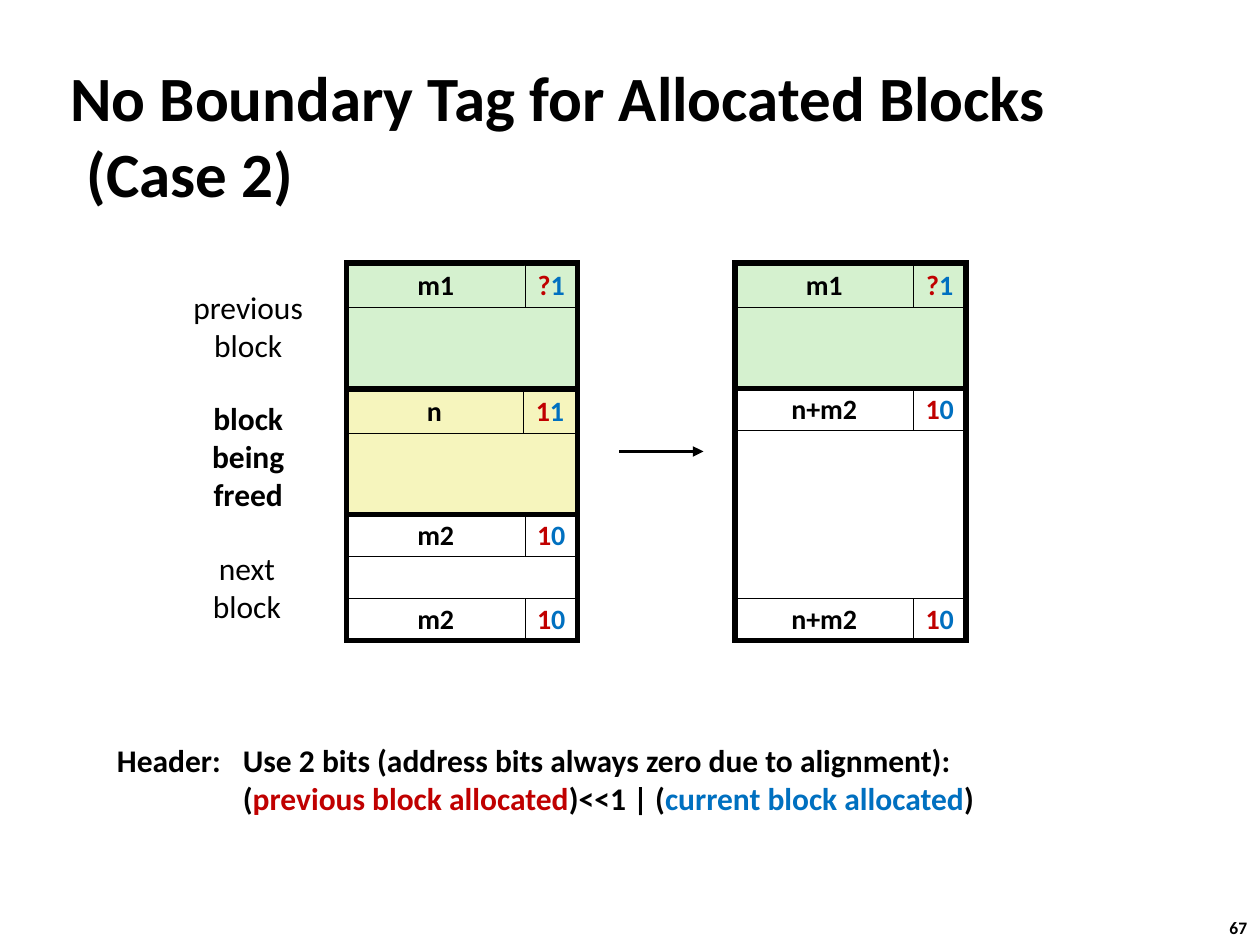
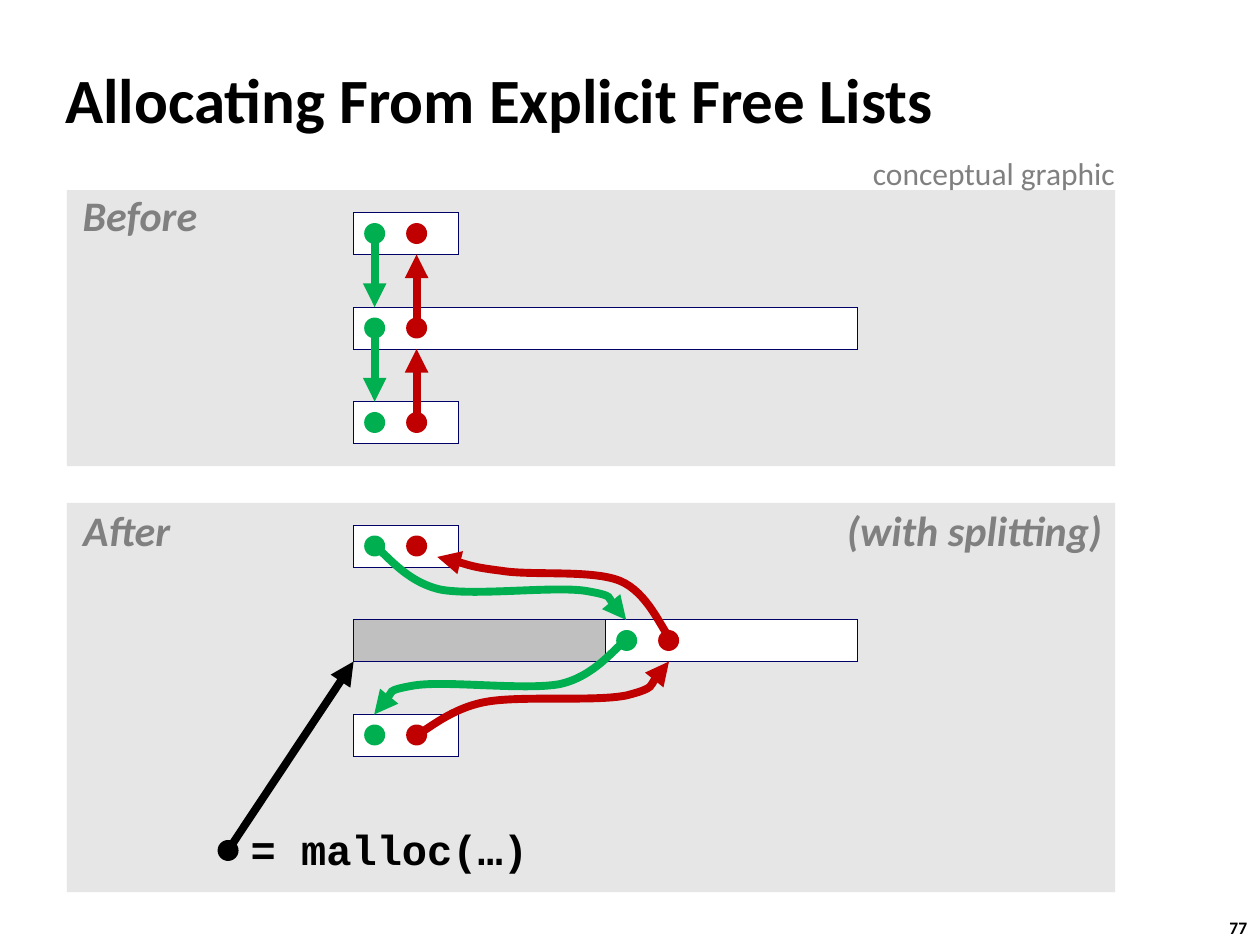
"""Build two slides on heap block headers and explicit free lists."""
import pptx
import pptx.dml.color
import pptx.enum.shapes
import pptx.enum.text
import pptx.oxml.ns
import pptx.util
from lxml import etree

SHAPE = pptx.enum.shapes.MSO_SHAPE
ALIGN = pptx.enum.text.PP_ALIGN
ANCHOR = pptx.enum.text.MSO_ANCHOR

THEME = {
    "ink": "000000", "paper": "FFFFFF", "panel": "E6E6E6", "muted": "808080",
    "allocated": "D5F1CF", "freed": "F6F5BD", "used": "C0C0C0", "edge": "000066",
    "previous": "C00000", "current": "0070C0", "next": "00B050",
    "hairline": 0.25, "outline": 3, "arrow": 2, "link": 4.5,
    "title": {"size": 36, "bold": True},
    "body": {"size": 18},
    "strong": {"size": 18, "bold": True},
    "cell": {"size": 16, "bold": True},
    "caption": {"size": 24, "bold": True, "italic": True},
    "code": {"size": 24, "bold": True, "name": "Courier New"},
    "number": {"size": 10, "bold": True},
}

UNIT = 1 / 3

HEAP_TITLE = {"text": "No Boundary Tag for Allocated Blocks (Case 2)", "box": (0.46, 0.75, 9.08, 0.63)}
HEAP_TOP = 6.25 * UNIT
HEAP_COLUMNS = [
    (8.25 * UNIT, [
        {"row": 0, "rows": 3, "fill": "allocated", "size": "m1", "bits": "?1", "nudge": (0, 0.02)},
        {"row": 3, "rows": 3, "fill": "freed", "size": "n", "bits": "11", "nudge": (-0.01, 0.02)},
        {"row": 6, "rows": 3, "fill": "paper", "size": "m2", "bits": "10", "footer": True},
    ]),
    (17.5 * UNIT, [
        {"row": 0, "rows": 3, "fill": "allocated", "size": "m1", "bits": "?1", "nudge": (0, 0.02)},
        {"row": 3, "rows": 6, "fill": "paper", "size": "n+m2", "bits": "10", "footer": True},
    ]),
]
SIZE_WIDTH, BITS_WIDTH = 4.25 * UNIT, 1.25 * UNIT
STEP_ARROW = ((14.75 * UNIT, 10.75 * UNIT), (16.75 * UNIT, 10.75 * UNIT))
HEAP_LABELS = [
    ("previous\nblock", (1.42, 2.24, 1.1, 0.71), "body"),
    ("block\nbeing\nfreed", (1.58, 3.12, 0.78, 1.01), "strong"),
    ("next\nblock", (1.58, 4.31, 0.76, 0.71), "body"),
]
HEADER_RULE = [
    ("Header: \tUse 2 bits (address bits always zero due to alignment):\n\t(", "ink"),
    ("previous block allocated", "previous"),
    (")<<1 | (", "ink"),
    ("current block allocated", "current"),
    (")", "ink"),
]

LIST_TITLE = {"text": "Allocating From Explicit Free Lists", "box": (0.42, 0.51, 8.75, 0.63), "spacing": 0.87}
LIST_LEFT, ROW_STEP = 8.42 * UNIT, 0.75
PANELS = [
    {"box": (0.53, 1.51, 8.32, 2.19), "top": 5.06 * UNIT,
     "nodes": [(0, 0, 2.5, "paper"), (0, 1, 12, "paper"), (0, 2, 2.5, "paper")],
     "captions": [("Before", (0.6, 1.5, 1.02, 0.47))]},
    {"box": (0.53, 3.99, 8.32, 3.09), "top": 12.5 * UNIT,
     "nodes": [(0, 0, 2.5, "paper"), (6, 1, 6, "paper"), (0, 1, 6, "used"), (0, 2, 2.5, "paper")],
     "captions": [("After", (0.6, 4, 0.81, 0.47)), ("(with splitting)", (6.66, 4, 2.15, 0.47))]},
]
NEXT_DOWN = [(2.97, 4.33), (3.06, 4.39), (3.22, 4.62), (3.5, 4.68), (3.78, 4.73),
             (4.4, 4.65), (4.65, 4.69), (4.89, 4.73), (4.91, 4.87), (4.97, 4.92)]
CURVES = [
    ("next", NEXT_DOWN),
    ("next", [(7.94 - x, y + ROW_STEP) for x, y in NEXT_DOWN]),
    ("previous", [(5.32, 5.07), (5.25, 4.99), (5.14, 4.7), (4.92, 4.61), (4.7, 4.52),
                  (4.22, 4.57), (3.98, 4.53), (3.74, 4.5), (3.58, 4.44), (3.47, 4.42)]),
    ("previous", [(3.31, 5.83), (3.4, 5.79), (3.58, 5.62), (3.86, 5.57), (4.14, 5.52),
                  (4.72, 5.57), (4.97, 5.52), (5.21, 5.46), (5.24, 5.31), (5.31, 5.25)]),
]
POINTER = ((1.81, 6.75), (LIST_LEFT, 5.25))


def color(name):
    return pptx.dml.color.RGBColor.from_string(THEME[name])


def inches(values):
    return [pptx.util.Inches(value) for value in values]


def add_element(parent, tag, **attributes):
    return etree.SubElement(parent, pptx.oxml.ns.qn(tag), **attributes)


def write(shape, runs, style, align=ALIGN.LEFT, spacing=None, inset=0.1, wrap=False,
          anchor=ANCHOR.TOP, hanging=0, tab=None):
    frame = shape.text_frame
    settings = {"word_wrap": wrap, "vertical_anchor": anchor,
                "margin_left": pptx.util.Inches(inset), "margin_right": pptx.util.Inches(inset),
                "margin_top": pptx.util.Inches(0.05), "margin_bottom": pptx.util.Inches(0.05)}
    for name, value in settings.items():
        setattr(frame, name, value)
    paragraph = frame.paragraphs[0]
    paragraph.alignment = align
    if spacing:
        paragraph.line_spacing = spacing
    properties = paragraph._p.get_or_add_pPr()
    if hanging:
        properties.set("marL", str(pptx.util.Inches(hanging)))
        properties.set("indent", str(-pptx.util.Inches(hanging)))
    if tab:
        add_element(add_element(properties, "a:tabLst"), "a:tab", pos=str(pptx.util.Inches(tab)), algn="l")
    for text, ink in runs:
        for index, line in enumerate(text.split("\n")):
            if index:
                paragraph.add_line_break()
            run = paragraph.add_run()
            run.text = line
            font = {"name": "Calibri", **THEME[style]}
            font["size"] = pptx.util.Pt(font["size"])
            for name, value in font.items():
                setattr(run.font, name, value)
            run.font.color.rgb = color(ink)


def add_text(slide, box, runs, style, **layout):
    write(slide.shapes.add_textbox(*inches(box)), runs, style, **layout)


def paint(shape, fill=None, line=None, width=THEME["hairline"]):
    shape.shadow.inherit = False
    if fill:
        shape.fill.solid()
        shape.fill.fore_color.rgb = color(fill)
    else:
        shape.fill.background()
    if line:
        shape.line.color.rgb = color(line)
        shape.line.width = pptx.util.Pt(width)
        add_element(shape.line._get_or_add_ln(), "a:miter", lim="800000")
    else:
        shape.line.fill.background()


def add_box(slide, box, fill=None, line=None, width=THEME["hairline"], kind=SHAPE.RECTANGLE):
    shape = slide.shapes.add_shape(kind, *inches(box))
    paint(shape, fill, line, width)
    return shape


def add_head(shape):
    add_element(shape.line._get_or_add_ln(), "a:tailEnd", type="triangle")


def add_arrow(slide, start, end, ink, width):
    arrow = slide.shapes.add_connector(pptx.enum.shapes.MSO_CONNECTOR.STRAIGHT, *inches(start + end))
    arrow.line.color.rgb = color(ink)
    arrow.line.width = pptx.util.Pt(width)
    add_head(arrow)
    add_element(arrow._element.spPr, "a:effectLst")


def add_curve(slide, points, ink):
    builder = slide.shapes.build_freeform(*inches(points[0]))
    builder.add_line_segments([inches(point) for point in points[1:]], close=False)
    curve = builder.convert_to_shape()
    segments = list(curve._element.iter(pptx.oxml.ns.qn("a:lnTo")))
    outline = segments[0].getparent()
    for first in range(0, len(segments), 3):
        bezier = add_element(outline, "a:cubicBezTo")
        for segment in segments[first:first + 3]:
            bezier.append(segment[0])
            outline.remove(segment)
    paint(curve, line=ink, width=THEME["link"])
    add_head(curve)


def add_dot(slide, center, ink):
    size = UNIT / 2
    add_box(slide, (center[0] - size / 2, center[1] - size / 2, size, size), ink, kind=SHAPE.OVAL)


def start_slide(presentation, title, number):
    slide = presentation.slides.add_slide(presentation.slide_layouts[6])
    add_text(slide, (9.66, 7.23, 0.37, 0.27), [(number, "ink")], "number")
    add_text(slide, title["box"], [(title["text"], "ink")], "title", wrap=True,
             anchor=ANCHOR.MIDDLE, hanging=0.13, spacing=title.get("spacing"))
    return slide


def add_tag(slide, left, top, block):
    cells = [
        (left, SIZE_WIDTH, [(block["size"], "ink")]),
        (left + SIZE_WIDTH, BITS_WIDTH, list(zip(block["bits"], ("previous", "current")))),
    ]
    for cell_left, width, runs in cells:
        cell = add_box(slide, (cell_left, top, width, UNIT), block["fill"], "ink")
        write(cell, runs, "cell", align=ALIGN.CENTER, spacing=0.98, anchor=ANCHOR.MIDDLE)


def add_block(slide, left, block):
    top = HEAP_TOP + block["row"] * UNIT
    width = SIZE_WIDTH + BITS_WIDTH
    shift_x, shift_y = block.get("nudge", (0, 0))
    footer = block.get("footer", False)
    body_rows = block["rows"] - 1 - footer
    add_box(slide, (left, top + UNIT + shift_y, width, body_rows * UNIT), block["fill"], "ink")
    add_tag(slide, left + shift_x, top + shift_y, block)
    if footer:
        add_tag(slide, left, top + (block["rows"] - 1) * UNIT, block)
    add_box(slide, (left, top, width, block["rows"] * UNIT), None, "ink", THEME["outline"])


def build_heap(presentation):
    slide = start_slide(presentation, HEAP_TITLE, "67")
    for left, blocks in HEAP_COLUMNS:
        for block in blocks:
            add_block(slide, left, block)
    add_arrow(slide, *STEP_ARROW, "ink", THEME["arrow"])
    for text, box, style in HEAP_LABELS:
        add_text(slide, box, [(text, "ink")], style, align=ALIGN.CENTER)
    add_text(slide, (0.83, 5.83, 7.06, 0.71), HEADER_RULE, "strong", tab=1)


def add_panel(slide, panel):
    add_box(slide, panel["box"], "panel")
    for column, row, columns, fill in panel["nodes"]:
        left, top = LIST_LEFT + column * UNIT, panel["top"] + row * ROW_STEP
        add_box(slide, (left, top, columns * UNIT, UNIT), fill, "edge")
        if fill != "used":
            for offset, ink in ((0.5, "next"), (1.5, "previous")):
                add_dot(slide, (left + offset * UNIT, top + UNIT / 2), ink)
    for text, box in panel["captions"]:
        add_text(slide, box, [(text, "muted")], "caption", align=ALIGN.CENTER, spacing=0.9, inset=0.05)


def build_lists(presentation):
    slide = start_slide(presentation, LIST_TITLE, "77")
    for panel in PANELS:
        add_panel(slide, panel)
    next_x, previous_x = LIST_LEFT + UNIT / 2, LIST_LEFT + 1.5 * UNIT
    for row in (0, 1):
        upper = PANELS[0]["top"] + row * ROW_STEP
        lower = upper + ROW_STEP
        add_arrow(slide, (next_x, upper + UNIT / 2), (next_x, lower), "next", THEME["link"])
        add_arrow(slide, (previous_x, lower + UNIT / 2), (previous_x, upper + UNIT), "previous", THEME["link"])
    for ink, points in CURVES:
        add_curve(slide, points, ink)
    add_dot(slide, POINTER[0], "ink")
    add_arrow(slide, *POINTER, "ink", THEME["link"])
    add_text(slide, (1.93, 6.53, 2.32, 0.47), [("= malloc(…)", "ink")], "code",
             align=ALIGN.CENTER, spacing=0.9, inset=0.05)
    add_text(slide, (6.83, 1.17, 2.17, 0.4), [("conceptual graphic", "muted")], "body")


def main():
    presentation = pptx.Presentation()
    presentation.slide_width, presentation.slide_height = inches((10, 7.5))
    build_heap(presentation)
    build_lists(presentation)
    presentation.save("out.pptx")


if __name__ == "__main__":
    main()
